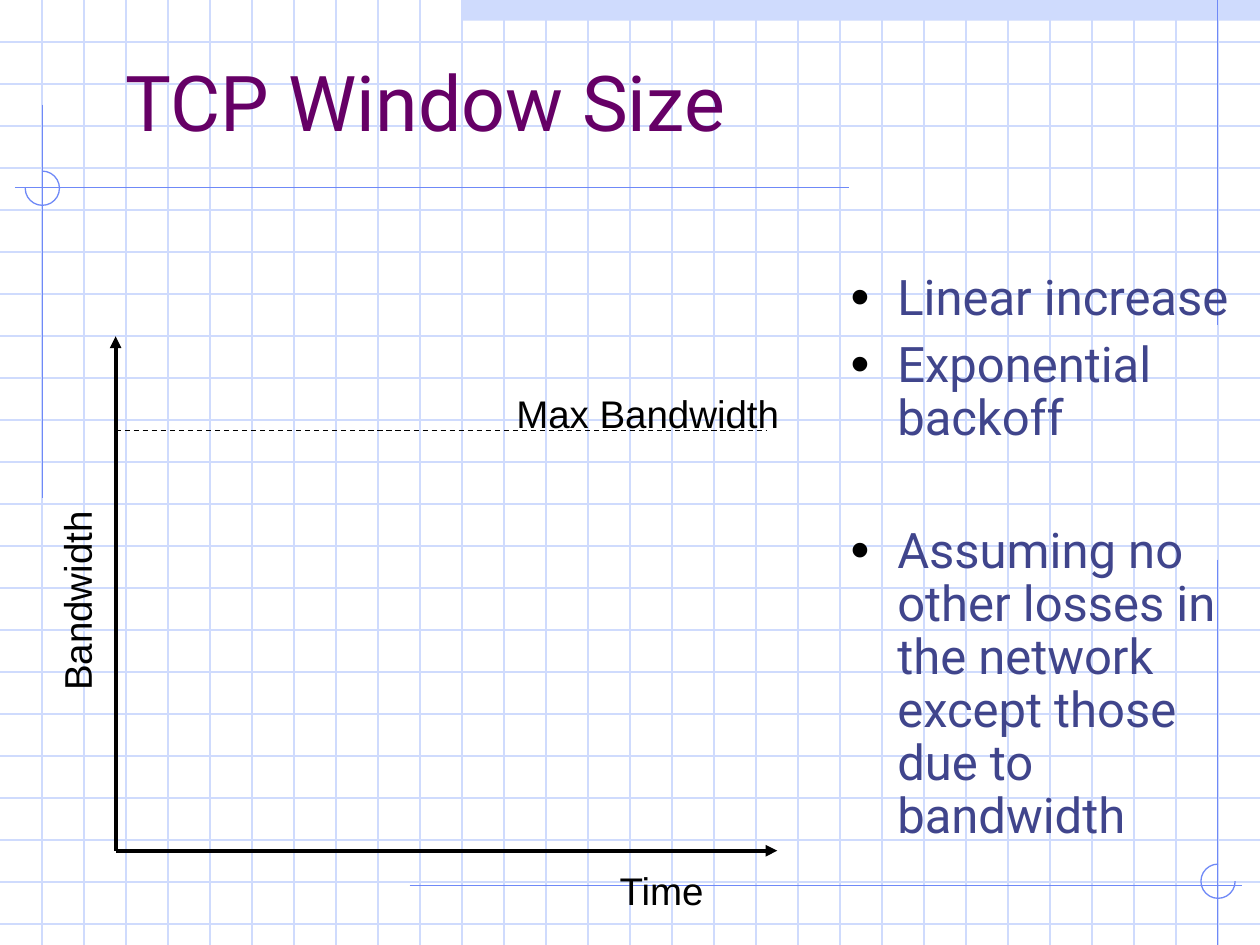
from dataclasses import dataclass

from lxml import etree
from pptx import Presentation
from pptx.dml.color import RGBColor
from pptx.enum.dml import MSO_LINE
from pptx.enum.shapes import MSO_CONNECTOR, MSO_SHAPE
from pptx.enum.text import MSO_ANCHOR, MSO_AUTO_SIZE
from pptx.oxml.ns import qn
from pptx.util import Cm, Pt

STRAIGHT = MSO_CONNECTOR.STRAIGHT
RECTANGLE = MSO_SHAPE.RECTANGLE
ARC = MSO_SHAPE.ARC
DASH = MSO_LINE.DASH
MIDDLE = MSO_ANCHOR.MIDDLE
TOP = MSO_ANCHOR.TOP
GROW = MSO_AUTO_SIZE.SHAPE_TO_FIT_TEXT

SLIDE_WIDTH, SLIDE_HEIGHT = 25.4, 19.05
GRID_COLUMNS = 30
BLANK_LAYOUT = 6
ARC_UNITS_PER_DEGREE = 0.6


@dataclass(frozen=True)
class Theme:
    grid: str = "CFDBFD"
    accent: str = "6F89F7"
    title: str = "660066"
    body: str = "40458C"
    ink: str = "000000"
    text_font: str = "Roboto"
    label_font: str = "Arial"
    title_size: int = 44
    body_size: int = 28
    label_size: int = 22
    thin: float = 0.75
    thick: float = 2.25


THEME = Theme()


def color(code):
    return RGBColor.from_string(code)


def add_rule(slide, start, end, stroke, weight=THEME.thin, dash=None, arrow=False):
    rule = slide.shapes.add_connector(STRAIGHT, *map(Cm, start + end))
    rule.line.color.rgb = color(stroke)
    rule.line.width = Pt(weight)
    if dash is not None:
        rule.line.dash_style = dash
    properties = rule.element.spPr
    if arrow:
        etree.SubElement(properties.find(qn("a:ln")), qn("a:tailEnd"), type="triangle")
    etree.SubElement(properties, qn("a:effectLst"))


def add_arc(slide, left, top, start_angle, end_angle):
    size = Cm(0.69)
    arc = slide.shapes.add_shape(ARC, Cm(left), Cm(top), size, size)
    arc.adjustments[0] = start_angle * ARC_UNITS_PER_DEGREE
    arc.adjustments[1] = end_angle * ARC_UNITS_PER_DEGREE
    arc.shadow.inherit = False
    arc.fill.background()
    arc.line.color.rgb = color(THEME.accent)
    arc.line.width = Pt(THEME.thin)


def add_run(paragraph, text, font, size, code):
    run = paragraph.add_run()
    run.text = text
    run.font.name = font
    run.font.size = Pt(size)
    run.font.color.rgb = color(code)


def add_text_area(slide, left, top, width, height, anchor):
    area = slide.shapes.add_textbox(Cm(left), Cm(top), Cm(width), Cm(height))
    frame = area.text_frame
    frame.word_wrap = True
    frame.vertical_anchor = anchor
    frame.margin_left = frame.margin_right = 0
    frame.margin_top = frame.margin_bottom = 0
    return frame


def add_title(slide, text):
    frame = add_text_area(slide, 2.54, 0, 21.59, 3.99, MIDDLE)
    heading = frame.paragraphs[0]
    heading.line_spacing = 1.04
    add_run(heading, text, THEME.text_font, THEME.title_size, THEME.title)


def add_bullet(paragraph):
    indent = Cm(0.94)
    properties = paragraph._p.get_or_add_pPr()
    properties.set("marL", str(indent))
    properties.set("indent", str(-indent))
    bullet_color = etree.SubElement(properties, qn("a:buClr"))
    etree.SubElement(bullet_color, qn("a:srgbClr"), val=THEME.ink)
    etree.SubElement(properties, qn("a:buSzPct"), val="110000")
    etree.SubElement(properties, qn("a:buFont"), typeface=THEME.label_font)
    etree.SubElement(properties, qn("a:buChar"), char="•")


def add_points(slide, points):
    frame = add_text_area(slide, 17.15, 5.51, 7.62, 11.43, TOP)
    for index, (text, space_before) in enumerate(points):
        point = frame.add_paragraph() if index else frame.paragraphs[0]
        point.line_spacing = 0.9
        point.space_before = Pt(space_before)
        add_bullet(point)
        add_run(point, text, THEME.text_font, THEME.body_size, THEME.body)


def add_label(slide, text, left, top, width, rotation=0):
    label = slide.shapes.add_textbox(Cm(left), Cm(top), Cm(width), Cm(1.27))
    label.rotation = rotation
    frame = label.text_frame
    frame.word_wrap = False
    frame.auto_size = GROW
    caption = frame.paragraphs[0]
    caption.line_spacing = 1.34
    add_run(caption, text, THEME.label_font, THEME.label_size, THEME.ink)


def add_grid(slide):
    pitch = SLIDE_WIDTH / GRID_COLUMNS
    for row in range(1, int(SLIDE_HEIGHT / pitch) + 1):
        add_rule(slide, (0, row * pitch), (SLIDE_WIDTH, row * pitch), THEME.grid)
    for column in range(1, GRID_COLUMNS):
        add_rule(slide, (column * pitch, 0), (column * pitch, SLIDE_HEIGHT), THEME.grid)


def add_backdrop(slide):
    band = slide.shapes.add_shape(RECTANGLE, Cm(9.3), 0, Cm(16.1), Cm(0.42))
    band.shadow.inherit = False
    band.fill.solid()
    band.fill.fore_color.rgb = color(THEME.grid)
    band.line.fill.background()
    add_grid(slide)
    ornaments = [
        ((24.55, 0), (24.55, 6.55)),
        ((0.86, 2.11), (0.86, 10.03)),
        ((0.3, 3.78), (17.12, 3.78)),
        ((8.26, 17.85), (25.04, 17.85)),
        ((24.54, 11.28), (24.54, SLIDE_HEIGHT)),
    ]
    for start, end in ornaments:
        add_rule(slide, start, end, THEME.accent)
    add_arc(slide, 0.51, 3.45, 270, 180)
    add_arc(slide, 24.21, 17.42, 0, 270)


def add_bandwidth_plot(slide):
    origin = (2.33, 17.15)
    for axis_end in ((2.33, 6.78), (15.67, 17.15)):
        add_rule(slide, origin, axis_end, THEME.ink, THEME.thick, arrow=True)
    add_label(slide, "Time", 12.24, 17.04, 2.29)
    add_label(slide, "Bandwidth", -0.84, 11.43, 4.22, rotation=270)
    add_rule(slide, (2.33, 8.68), (15.44, 8.68), THEME.ink, dash=DASH)
    add_label(slide, "Max Bandwidth", 10.16, 7.42, 5.99)


def main():
    deck = Presentation()
    deck.slide_width = Cm(SLIDE_WIDTH)
    deck.slide_height = Cm(SLIDE_HEIGHT)
    slide = deck.slides.add_slide(deck.slide_layouts[BLANK_LAYOUT])
    add_backdrop(slide)
    add_title(slide, "TCP Window Size")
    add_points(slide, [
        ("Linear increase", 8),
        ("Exponential backoff", 8),
        ("Assuming no other losses in the network except those due to bandwidth", 46),
    ])
    add_bandwidth_plot(slide)
    deck.save("out.pptx")


if __name__ == "__main__":
    main()
